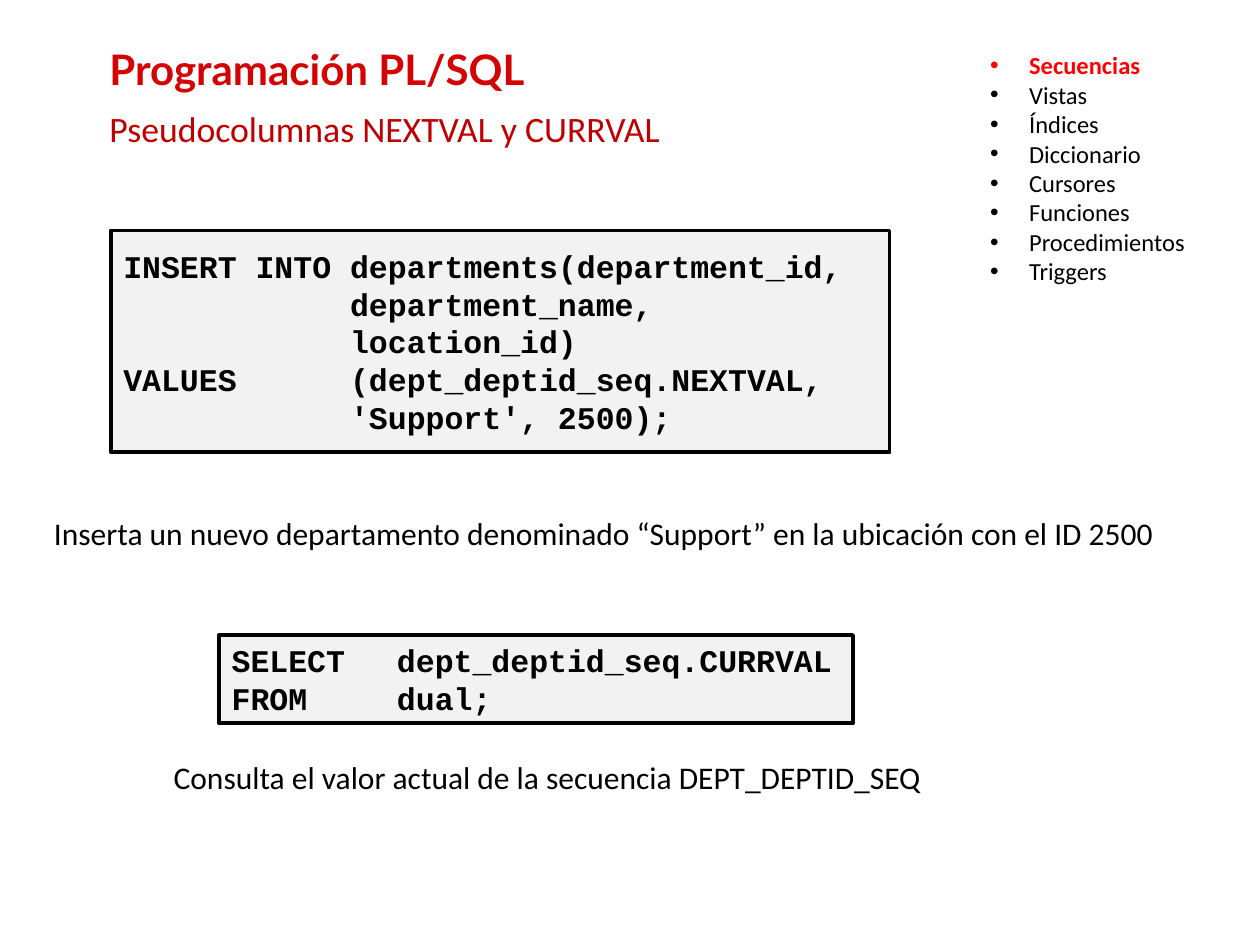
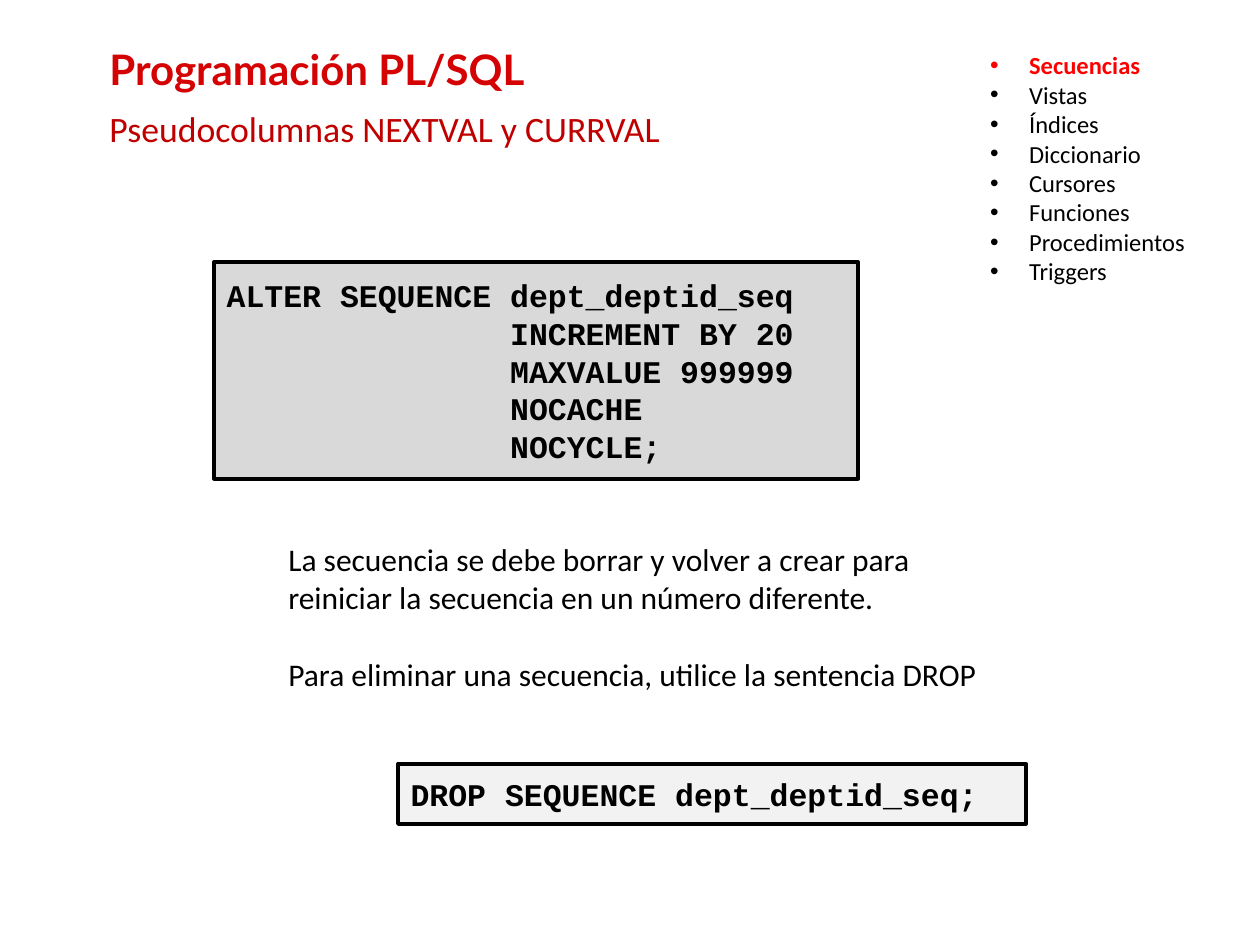
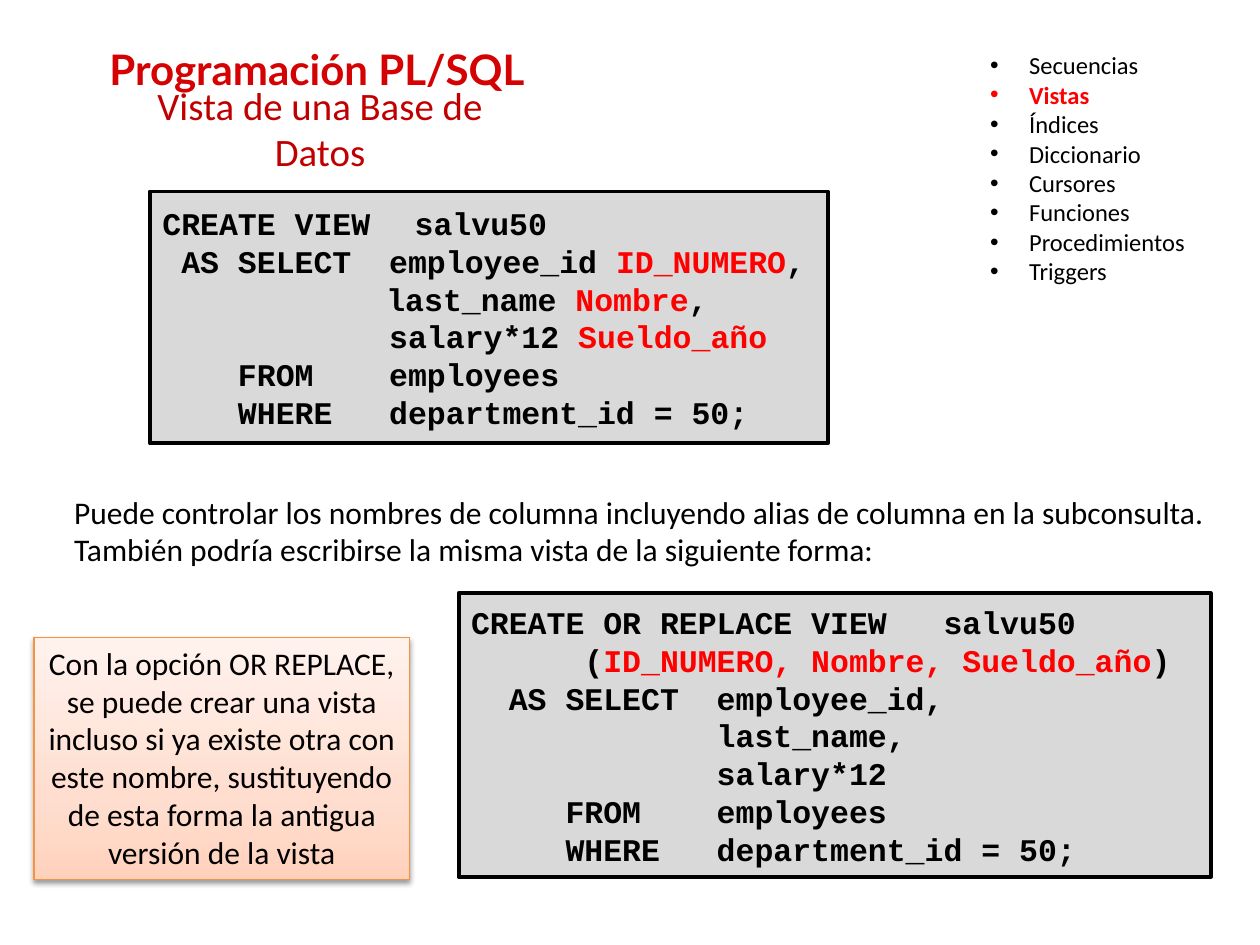
from lxml import etree
from pptx import Presentation
from pptx.dml.color import RGBColor
from pptx.enum import shapes, text
from pptx.oxml import ns
from pptx.util import Inches, Pt

BLACK = RGBColor(0x00, 0x00, 0x00)
RED = RGBColor(0xFF, 0x00, 0x00)
TITLE_RED = RGBColor(0xD4, 0x02, 0x02)
SUBTITLE_RED = RGBColor(0xC0, 0x00, 0x00)
PALE_GREY = RGBColor(0xF2, 0xF2, 0xF2)
GREY = RGBColor(0xD9, 0xD9, 0xD9)
ORANGE = RGBColor(0xF6, 0x92, 0x40)
PEACH_STOPS = [
    (0, RGBColor(0xFF, 0xD2, 0xBD)),
    (35, RGBColor(0xFF, 0xDE, 0xD0)),
    (100, RGBColor(0xFF, 0xF2, 0xED)),
]

BODY_FONT, CODE_FONT, TITLE_FONT = "Calibri", "Courier New", "Lato"
CHARACTER = 0.15
TOPICS = ["Secuencias", "Vistas", "Índices", "Diccionario", "Cursores",
          "Funciones", "Procedimientos", "Triggers"]


def add_child(parent, tag, **attributes):
    """Append a DrawingML element with the given attributes."""
    child = etree.SubElement(parent, ns.qn(tag))
    for name, value in attributes.items():
        child.set(name, str(value))
    return child


def add_span(para, words, size=18, font=BODY_FONT, color=BLACK, bold=False):
    """Add one formatted run to a paragraph."""
    span = para.add_run()
    span.text = words
    span.font.size = Pt(size)
    span.font.name = font
    span.font.color.rgb = color
    span.font.bold = bold


def add_paras(frame, count):
    """Return the given number of paragraphs of an empty text frame."""
    return [frame.paragraphs[0]] + [frame.add_paragraph() for _ in range(count - 1)]


def add_text_box(page, box, anchor=text.MSO_ANCHOR.TOP):
    """Add an empty wrapping text box and return its frame."""
    frame = page.shapes.add_textbox(*map(Inches, box)).text_frame
    frame.word_wrap = True
    frame.vertical_anchor = anchor
    return frame


def add_rectangle(page, box, line_color, line_width):
    """Add an outlined rectangle without a shadow."""
    shape = page.shapes.add_shape(shapes.MSO_SHAPE.RECTANGLE, *map(Inches, box))
    shape.shadow.inherit = False
    shape.line.color.rgb = line_color
    shape.line.width = Pt(line_width)
    shape.text_frame.word_wrap = True
    return shape


def add_heading(page, box, words, align=text.PP_ALIGN.LEFT, **style):
    """Add a one-paragraph heading centred vertically in its box."""
    para = add_text_box(page, box, text.MSO_ANCHOR.MIDDLE).paragraphs[0]
    para.alignment = align
    add_span(para, words, **style)


def add_topics(page, box, current):
    """List the course topics, with the current one in bold red."""
    frame = add_text_box(page, box)
    for para, topic in zip(add_paras(frame, len(TOPICS)), TOPICS):
        active = topic == current
        add_span(para, topic, size=14, color=RED if active else BLACK, bold=active)
        properties = para._p.get_or_add_pPr()
        properties.set("marL", str(Inches(0.31)))
        properties.set("indent", str(-Inches(0.31)))
        add_child(properties, "a:buFont", typeface="Arial")
        add_child(properties, "a:buChar", char="•")


def add_note(page, box, lines, gap=0):
    """Add body paragraphs separated by a gap in points."""
    frame = add_text_box(page, box)
    for index, (para, line) in enumerate(zip(add_paras(frame, len(lines)), lines)):
        para.space_before = Pt(gap if index else 0)
        add_span(para, line)


def add_code(page, box, fill, lines):
    """Add a code panel whose lines hold (column, words, colour) parts."""
    panel = add_rectangle(page, box, BLACK, 2.25)
    panel.fill.solid()
    panel.fill.fore_color.rgb = fill
    frame = panel.text_frame
    frame.vertical_anchor = text.MSO_ANCHOR.MIDDLE
    for para, line in zip(add_paras(frame, len(lines)), lines):
        para.alignment = text.PP_ALIGN.LEFT
        tabs = add_child(para._p.get_or_add_pPr(), "a:tabLst")
        for column, words, *color in line:
            if column:
                add_child(tabs, "a:tab", pos=Inches(column * CHARACTER), algn="l")
                words = "\t" + words
            add_span(para, words, font=CODE_FONT, bold=True,
                     color=color[0] if color else BLACK)


def add_callout(page, box, words):
    """Add a peach gradient callout with a soft shadow."""
    callout = add_rectangle(page, box, ORANGE, 0.75)
    callout.fill.gradient()
    callout.fill.gradient_angle = 90
    properties = callout._element.spPr
    stops = properties.find(".//" + ns.qn("a:gsLst"))
    for stop in list(stops):
        stops.remove(stop)
    for percent, color in PEACH_STOPS:
        stop = add_child(stops, "a:gs", pos=percent * 1000)
        add_child(stop, "a:srgbClr", val=color)
    shadow = add_child(properties.find(ns.qn("a:effectLst")), "a:outerShdw",
                       blurRad=Pt(3.1), dist=Pt(1.6), dir=5400000, rotWithShape=0)
    add_child(add_child(shadow, "a:srgbClr", val=BLACK), "a:alpha", val=38000)
    callout.text_frame.vertical_anchor = text.MSO_ANCHOR.TOP
    para = callout.text_frame.paragraphs[0]
    para.alignment = text.PP_ALIGN.CENTER
    add_span(para, words)


def add_page(deck, topic, subtitle, width=4.78, size=20.4, align=text.PP_ALIGN.LEFT):
    """Add a page with the shared title, subtitle and topic list."""
    page = deck.slides.add_slide(deck.slide_layouts[6])
    add_heading(page, (0.77, 0.19, 4, 0.71), "Programación PL/SQL",
                size=24, font=TITLE_FONT, color=TITLE_RED, bold=True)
    add_topics(page, (7.76, 0.35, 1.86, 1.99), topic)
    add_heading(page, (0.77, 0.8, width, 0.43), subtitle, align,
                size=size, color=SUBTITLE_RED)
    return page


def build_usage_page(deck):
    """Show how a sequence is used and queried."""
    page = add_page(deck, "Secuencias", "Pseudocolumnas NEXTVAL y CURRVAL")
    add_code(page, (0.88, 1.83, 6.18, 1.76), PALE_GREY, [
        [(0, "INSERT INTO departments(department_id,")],
        [(12, "department_name,")],
        [(12, "location_id)")],
        [(0, "VALUES"), (12, "(dept_deptid_seq.NEXTVAL,")],
        [(12, "'Support', 2500);")],
    ])
    add_note(page, (0.33, 4.03, 9.01, 0.4), [
        "Inserta un nuevo departamento denominado “Support” en la ubicación "
        "con el ID 2500"])
    add_code(page, (1.74, 5.04, 5.03, 0.7), PALE_GREY, [
        [(0, "SELECT"), (8.75, "dept_deptid_seq.CURRVAL")],
        [(0, "FROM"), (8.75, "dual;")],
    ])
    add_note(page, (1.28, 5.97, 6.34, 0.4), [
        "Consulta el valor actual de la secuencia DEPT_DEPTID_SEQ"])


def build_change_page(deck):
    """Show how a sequence is altered and dropped."""
    page = add_page(deck, "Secuencias", "Pseudocolumnas NEXTVAL y CURRVAL")
    options = ["INCREMENT BY 20", "MAXVALUE 999999", "NOCACHE", "NOCYCLE;"]
    add_code(page, (1.7, 2.08, 5.11, 1.72), GREY,
             [[(0, "ALTER SEQUENCE dept_deptid_seq")]]
             + [[(15, option)] for option in options])
    add_code(page, (3.16, 6.06, 4.98, 0.48), PALE_GREY,
             [[(0, "DROP SEQUENCE dept_deptid_seq;")]])
    add_note(page, (2.19, 4.24, 6, 1.31), [
        "La secuencia se debe borrar y volver a crear para reiniciar la secuencia "
        "en un número diferente.",
        "Para eliminar una secuencia, utilice la sentencia DROP"], gap=22)


def build_view_page(deck):
    """Show two ways to create the same view."""
    page = add_page(deck, "Vistas", "Vista de una Base de Datos",
                    3.54, 22.2, text.PP_ALIGN.CENTER)
    add_code(page, (1.19, 1.52, 5.38, 2), GREY, [
        [(0, "CREATE VIEW"), (13.35, "salvu50")],
        [(1, "AS SELECT"), (12, "employee_id "), (0, "ID_NUMERO", RED), (0, ",")],
        [(11.85, "last_name "), (0, "Nombre", RED), (0, ",")],
        [(12, "salary*12 "), (0, "Sueldo_año", RED)],
        [(4, "FROM"), (12, "employees")],
        [(4, "WHERE"), (12, "department_id = 50;")],
    ])
    add_code(page, (3.64, 4.71, 5.97, 2.25), GREY, [
        [(0, "CREATE OR REPLACE VIEW"), (25, "salvu50")],
        [(6, "("), (0, "ID_NUMERO, Nombre, Sueldo_año", RED), (0, ")")],
        [(2, "AS SELECT"), (13, "employee_id,")],
        [(13, "last_name,")],
        [(13, "salary*12")],
        [(5, "FROM"), (13, "employees")],
        [(5, "WHERE"), (13, "department_id = 50;")],
    ])
    add_note(page, (0.49, 3.86, 9.26, 0.71), [
        "Puede controlar los nombres de columna incluyendo alias de columna "
        "en la subconsulta.",
        "También podría escribirse la misma vista de la siguiente forma:"])
    add_callout(page, (0.27, 5.06, 2.98, 1.92),
                "Con la opción OR REPLACE, se puede crear una vista incluso si ya "
                "existe otra con este nombre, sustituyendo de esta forma la antigua "
                "versión de la vista")


def main():
    """Build the deck and save it."""
    deck = Presentation()
    deck.slide_width, deck.slide_height = Inches(10), Inches(7.5)
    for build in (build_usage_page, build_change_page, build_view_page):
        build(deck)
    deck.save("out.pptx")


main()
